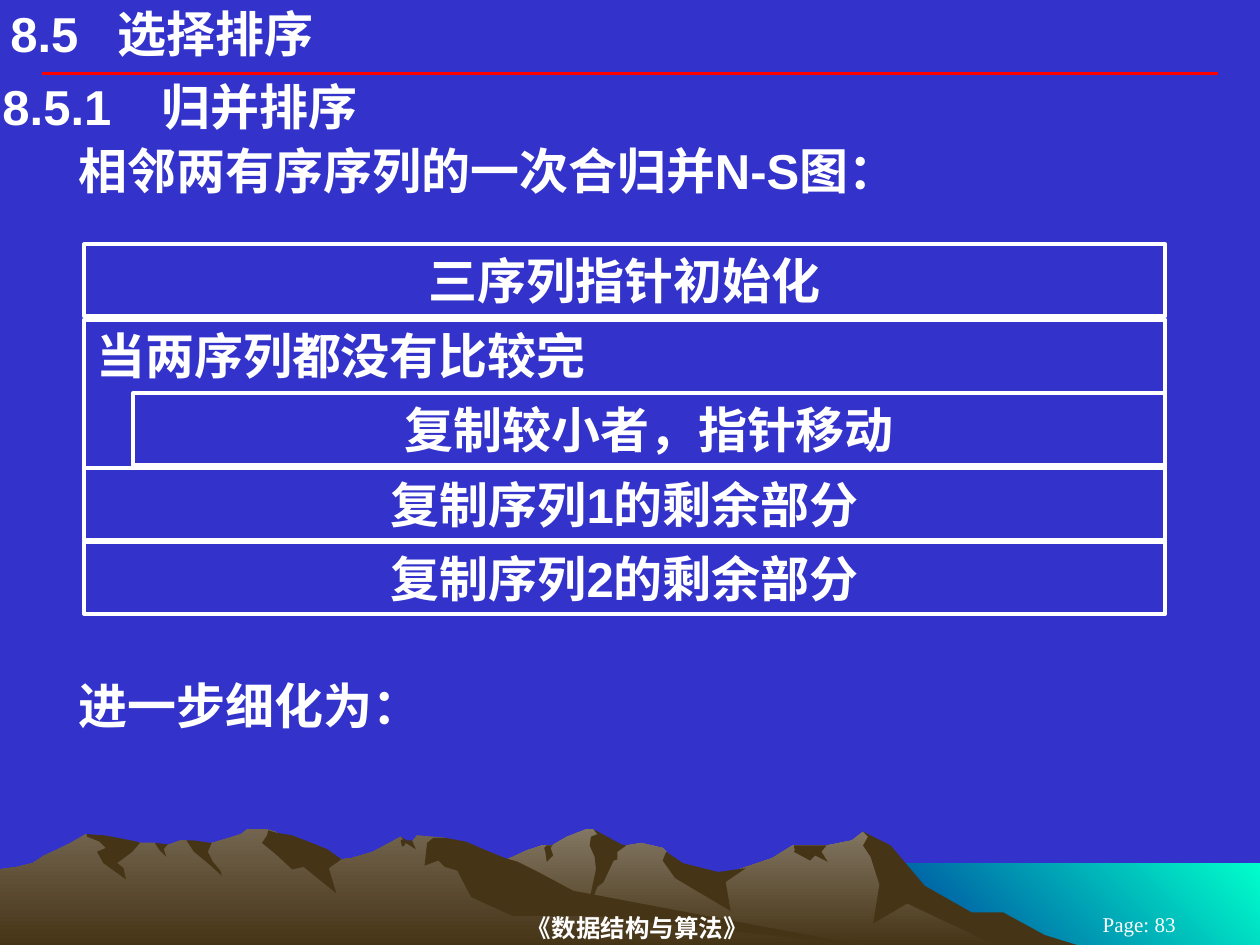
import pptx
import pptx.dml.color
import pptx.enum.shapes
import pptx.enum.text
import pptx.oxml.ns
import pptx.util
from collections import namedtuple
from dataclasses import dataclass
from lxml import etree

Pt = pptx.util.Pt
ALIGN = pptx.enum.text.PP_ALIGN
ANCHOR = pptx.enum.text.MSO_ANCHOR
Box = namedtuple("Box", "x y w h")


@dataclass(frozen=True)
class Theme:
    back: str = "3333CC"
    text: str = "FFFFFF"
    rule: str = "FF0000"
    rock: str = "463416"
    far_top: str = "837763"
    near_top: str = "72644E"
    sea_light: str = "00FFCC"
    sea_dark: str = "003399"
    body: int = 28
    footer: int = 14
    page: int = 12
    stroke: float = 2.25
    sans: str = "Arial"
    serif: str = "Times New Roman"


T = Theme()

# Landscape outlines on a grid 1000 units wide, measured from the box's top left.
SEA = [(1000, 93), (683, 93), (683, 27), (1000, 27)]
FAR_RIDGE = [
    (802, 82), (778, 69), (764, 65), (723, 40), (702, 13), (685, 2), (676, 9),
    (656, 13), (629, 13), (613, 23), (566, 39), (536, 32), (529, 18), (526, 15),
    (509, 11), (497, 13), (486, 15), (474, 3), (471, 0), (465, 0), (450, 6),
    (438, 13), (430, 13), (418, 17), (405, 23), (394, 27), (355, 40), (327, 51),
    (277, 81), (258, 93), (821, 93)]
FAR_SHADOWS = [
    [(796, 66), (771, 66), (734, 45), (707, 13), (685, 2), (689, 6), (685, 13),
     (691, 22), (698, 44), (693, 75), (720, 59), (792, 93), (858, 93), (829, 84)],
    [(471, 0), (474, 4), (469, 6), (468, 13), (472, 22), (473, 32), (465, 69),
     (474, 46), (479, 42), (487, 25), (490, 24), (490, 18), (497, 13), (493, 12)],
    [(529, 18), (528, 20), (526, 25), (536, 39), (580, 65), (576, 42), (592, 31),
     (570, 34), (542, 27)],
    [(650, 13), (630, 13), (631, 17), (630, 18), (643, 25), (647, 21), (657, 26),
     (652, 18), (656, 13)],
    [(433, 19), (432, 15), (434, 13), (438, 13), (439, 12), (437, 15), (439, 21),
     (434, 26)]]
NEAR_RIDGE = [
    (690, 93), (667, 90), (432, 54), (354, 7), (331, 5), (327, 10), (323, 10),
    (318, 6), (296, 18), (279, 23), (271, 24), (260, 18), (236, 23), (223, 5),
    (219, 2), (212, 0), (196, 0), (191, 4), (178, 8), (168, 11), (160, 13),
    (148, 9), (143, 9), (132, 13), (128, 13), (123, 11), (111, 11), (94, 13),
    (68, 4), (56, 11), (46, 16), (35, 21), (26, 27), (14, 30), (0, 32), (0, 93)]
NEAR_SHADOWS = [
    [(212, 5), (208, 11), (219, 20), (232, 32), (241, 30), (267, 51), (261, 31),
     (271, 24), (260, 16), (245, 10), (232, 5), (220, 3), (213, 1)],
    [(370, 10), (354, 7), (344, 7), (339, 11), (337, 29), (348, 25), (353, 30),
     (363, 33), (374, 54), (407, 69), (472, 69), (690, 93), (683, 92), (455, 49),
     (427, 34), (411, 26), (401, 23), (386, 17)],
    [(318, 9), (320, 8), (318, 6), (323, 9), (327, 9), (330, 16), (322, 11),
     (321, 13), (319, 14)],
    [(154, 9), (168, 11), (165, 18), (169, 26), (175, 33), (176, 37), (165, 27),
     (154, 18), (148, 9)],
    [(133, 12), (130, 16), (132, 22), (127, 17), (123, 11)],
    [(109, 10), (111, 11), (105, 18), (93, 27), (98, 31), (100, 40), (82, 27),
     (77, 18), (84, 15), (79, 10), (69, 6), (69, 4), (83, 5), (94, 7)]]


def rgb(code):
    return pptx.dml.color.RGBColor.from_string(code)


def set_all(obj, values):
    for name, value in values.items():
        setattr(obj, name, value)


def write(sp, text, inset=(7.2, 3.6), align=ALIGN.LEFT, anchor=ANCHOR.TOP,
          size=T.body, font=T.sans, bold=True, indent=0, tab=None):
    """Fill a shape with one paragraph; inset is (sides, top and bottom)."""
    tf = sp.text_frame
    side, edge = map(Pt, inset)
    set_all(tf, dict(word_wrap=True, vertical_anchor=anchor, margin_left=side,
                     margin_right=side, margin_top=edge, margin_bottom=edge))
    p = tf.paragraphs[0]
    p.alignment = align
    pPr = p._p.get_or_add_pPr()
    pPr.set("marL", str(Pt(indent)))
    if tab:
        tabs = etree.SubElement(pPr, pptx.oxml.ns.qn("a:tabLst"))
        etree.SubElement(tabs, pptx.oxml.ns.qn("a:tab"), pos=str(Pt(tab)), algn="l")
    r = p.add_run()
    r.text = text
    set_all(r.font, dict(size=Pt(size), name=font, bold=bold))
    r.font.color.rgb = rgb(T.text)


def text_box(s, box, text, **fmt):
    write(s.shapes.add_textbox(*map(Pt, box)), text, **fmt)


def outline(s, box, points, colors, angle=270):
    """Draw a closed outline; two colors make a gradient, one a solid fill."""
    builder = s.shapes.build_freeform(*points[0], scale=Pt(box.w / 1000))
    builder.add_line_segments(points[1:], close=True)
    sp = builder.convert_to_shape(Pt(box.x), Pt(box.y))
    sp.shadow.inherit = False
    sp.line.fill.background()
    if len(colors) == 1:
        sp.fill.solid()
        sp.fill.fore_color.rgb = rgb(colors[0])
        return
    sp.fill.gradient()
    sp.fill.gradient_angle = angle
    for stop, color in zip(sp.fill.gradient_stops, colors):
        stop.color.rgb = rgb(color)


def landscape(s, box):
    outline(s, box, SEA, (T.sea_light, T.sea_dark), angle=225)
    for ridge, top, shadows in ((FAR_RIDGE, T.far_top, FAR_SHADOWS),
                                (NEAR_RIDGE, T.near_top, NEAR_SHADOWS)):
        outline(s, box, ridge, (top, T.rock))
        for shadow in shadows:
            outline(s, box, shadow, (T.rock,))


def footer(s, box):
    fmt = dict(font=T.serif, align=ALIGN.CENTER, anchor=ANCHOR.MIDDLE)
    text_box(s, Box(box.x + 146.3, box.y, 436, box.h), "《数据结构与算法》",
             inset=(0, 0.72), size=T.footer, **fmt)
    text_box(s, Box(box.x + 594, box.y + 2, 114, 12), "Page: 83",
             size=T.page, bold=False, **fmt)


def headings(s, box):
    line = s.shapes.add_connector(pptx.enum.shapes.MSO_CONNECTOR.STRAIGHT,
                                  *map(Pt, (box.x + 24, box.y + 42,
                                            box.x + box.w - 24, box.y + 42)))
    line.line.color.rgb = rgb(T.rule)
    line.line.width = Pt(T.stroke)
    etree.SubElement(line._element.spPr, pptx.oxml.ns.qn("a:effectLst"))
    text_box(s, Box(box.x + 6, box.y + 2, 468, 34), "8.5\t选择排序",
             inset=(0, 0), tab=61)
    text_box(s, Box(box.x, box.y + 43.2, box.w, 35), "8.5.1\t归并排序",
             inset=(1.44, 0.72), tab=91)


def ns_chart(s, box):
    """Nassi-Shneiderman diagram: stacked steps, with a loop body set inside."""
    row, inset = 41, 28
    steps = [(0, 0, row, "三序列指针初始化", ALIGN.CENTER),
             (inset, 85, row, "复制较小者，指针移动", ALIGN.CENTER),
             (0, 43, 85, "当两序列都没有比较完", ALIGN.LEFT),
             (0, 128, row, "复制序列1的剩余部分", ALIGN.CENTER),
             (0, 170, row, "复制序列2的剩余部分", ALIGN.CENTER)]
    for left, top, height, text, align in steps:
        sp = s.shapes.add_shape(pptx.enum.shapes.MSO_SHAPE.RECTANGLE, *map(
            Pt, (box.x + left, box.y + top, box.w - left, height)))
        sp.shadow.inherit = False
        sp.fill.background()
        sp.line.color.rgb = rgb(T.text)
        sp.line.width = Pt(T.stroke)
        write(sp, text, align=align)


def main():
    prs = pptx.Presentation()
    set_all(prs, dict(slide_width=Pt(720), slide_height=Pt(540)))
    s = prs.slides.add_slide(prs.slide_layouts[6])
    s.background.fill.solid()
    s.background.fill.fore_color.rgb = rgb(T.back)
    landscape(s, Box(0, 473.8, 720, 67))
    footer(s, Box(0, 520, 720, 20))
    headings(s, Box(0, 0, 720, 79))
    text_box(s, Box(0, 77, 717, row_height := 41),
             "相邻两有序序列的一次合归并N-S图：", indent=38)
    ns_chart(s, Box(48, 139.7, 618, 211))
    text_box(s, Box(0, 382.3, 717, row_height), "进一步细化为：", indent=38)
    prs.save("out.pptx")


if __name__ == "__main__":
    main()
